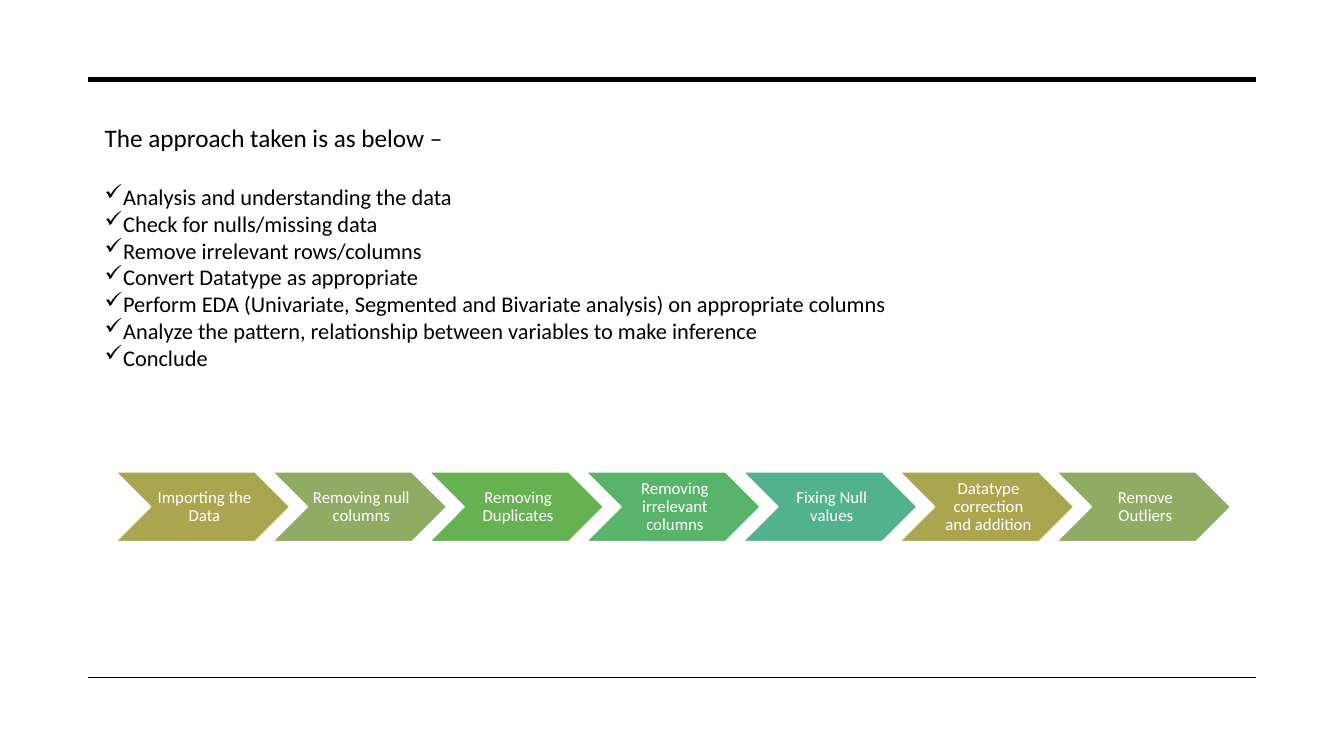
from lxml import etree
from pptx import Presentation
from pptx import util as u
from pptx.dml.color import RGBColor
from pptx.enum import shapes, text
from pptx.oxml import ns

BLACK = RGBColor(0x00, 0x00, 0x00)
WHITE = RGBColor(0xFF, 0xFF, 0xFF)
OLIVE = RGBColor(0xA9, 0xA6, 0x4F)
SAGE = RGBColor(0x90, 0xAB, 0x63)
GREEN = RGBColor(0x66, 0xB2, 0x53)
EMERALD = RGBColor(0x58, 0xB4, 0x6B)
TEAL = RGBColor(0x53, 0xB2, 0x8E)

HEADING = "The approach taken is as below –"
APPROACH = [
    "Analysis and understanding the data",
    "Check for nulls/missing data",
    "Remove irrelevant rows/columns",
    "Convert Datatype as appropriate",
    "Perform EDA (Univariate, Segmented and Bivariate analysis) on appropriate columns",
    "Analyze the pattern, relationship between variables to make inference",
    "Conclude",
]
CLEANING_STEPS = [
    ("Importing the Data", OLIVE),
    ("Removing null columns", SAGE),
    ("Removing Duplicates", GREEN),
    ("Removing irrelevant columns", EMERALD),
    ("Fixing Null values", TEAL),
    ("Datatype correction and addition", OLIVE),
    ("Remove Outliers", SAGE),
]
RULES = [(56.9, 3.5), (483.8, 1)]  # height on the slide, line width
RULE_LEFT, RULE_RIGHT = 63.2, 897.2
APPROACH_BOX = (67.7, 83.5, 769.7, 186.5)
CHEVRON_LEFT, CHEVRON_TOP, CHEVRON_PITCH = 82.7, 337.1, 112
CHEVRON_WIDTH, CHEVRON_HEIGHT = 124.4, 49.8
BULLET_INDENT = 13.2

CHEVRON_FRAME = {
    "word_wrap": True, "vertical_anchor": text.MSO_ANCHOR.MIDDLE,
    "margin_left": u.Pt(3.6), "margin_top": u.Pt(1.2),
    "margin_right": u.Pt(1.2), "margin_bottom": u.Pt(1.2),
}
CHEVRON_PARAGRAPH = {"alignment": text.PP_ALIGN.CENTER, "line_spacing": 0.9}


def set_all(target, values):
    for name, value in values.items():
        setattr(target, name, value)


def write(paragraph, words, size, color):
    run = paragraph.add_run()
    run.text = words
    set_all(run.font, {"name": "Calibri", "size": u.Pt(size)})
    run.font.color.rgb = color


def add_check_bullet(paragraph):
    properties = paragraph._p.get_or_add_pPr()
    indent = u.Pt(BULLET_INDENT)
    properties.set("marL", str(indent))
    properties.set("indent", str(-indent))
    etree.SubElement(properties, ns.qn("a:buChar")).set("char", "✓")


def add_rule(slide, top, width):
    rule = slide.shapes.add_connector(
        shapes.MSO_CONNECTOR.STRAIGHT,
        u.Pt(RULE_LEFT), u.Pt(top), u.Pt(RULE_RIGHT), u.Pt(top))
    rule.line.color.rgb = BLACK
    rule.line.width = u.Pt(width)
    etree.SubElement(rule._element.spPr, ns.qn("a:effectLst"))


def add_approach(slide):
    box = slide.shapes.add_textbox(*map(u.Pt, APPROACH_BOX))
    frame = box.text_frame
    frame.word_wrap = True
    heading = frame.paragraphs[0]
    heading.space_after = u.Pt(22)
    write(heading, HEADING, 18, BLACK)
    for item in APPROACH:
        paragraph = frame.add_paragraph()
        add_check_bullet(paragraph)
        write(paragraph, item, 16, BLACK)


def add_chevron(slide, index, label, color):
    left = CHEVRON_LEFT + index * CHEVRON_PITCH
    chevron = slide.shapes.add_shape(
        shapes.MSO_SHAPE.CHEVRON, u.Pt(left), u.Pt(CHEVRON_TOP),
        u.Pt(CHEVRON_WIDTH), u.Pt(CHEVRON_HEIGHT))
    chevron.shadow.inherit = False
    chevron.fill.solid()
    chevron.fill.fore_color.rgb = color
    chevron.line.color.rgb = WHITE
    chevron.line.width = u.Pt(1)
    set_all(chevron.text_frame, CHEVRON_FRAME)
    paragraph = chevron.text_frame.paragraphs[0]
    set_all(paragraph, CHEVRON_PARAGRAPH)
    write(paragraph, label, 12, WHITE)


def main():
    presentation = Presentation()
    set_all(presentation, {"slide_width": u.Pt(960), "slide_height": u.Pt(540)})
    blank_layout = presentation.slide_layouts[6]
    slide = presentation.slides.add_slide(blank_layout)
    for top, width in RULES:
        add_rule(slide, top, width)
    add_approach(slide)
    for index, (label, color) in enumerate(CLEANING_STEPS):
        add_chevron(slide, index, label, color)
    presentation.save("out.pptx")


if __name__ == "__main__":
    main()
